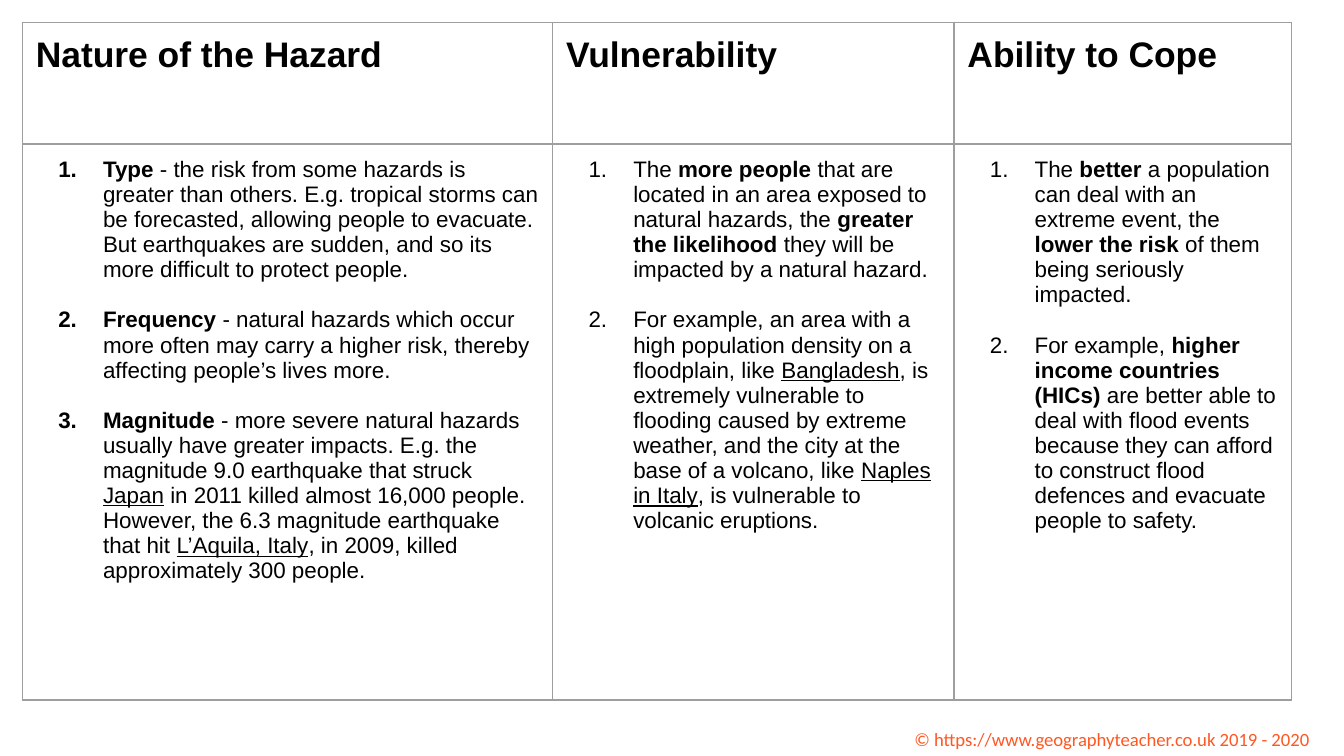
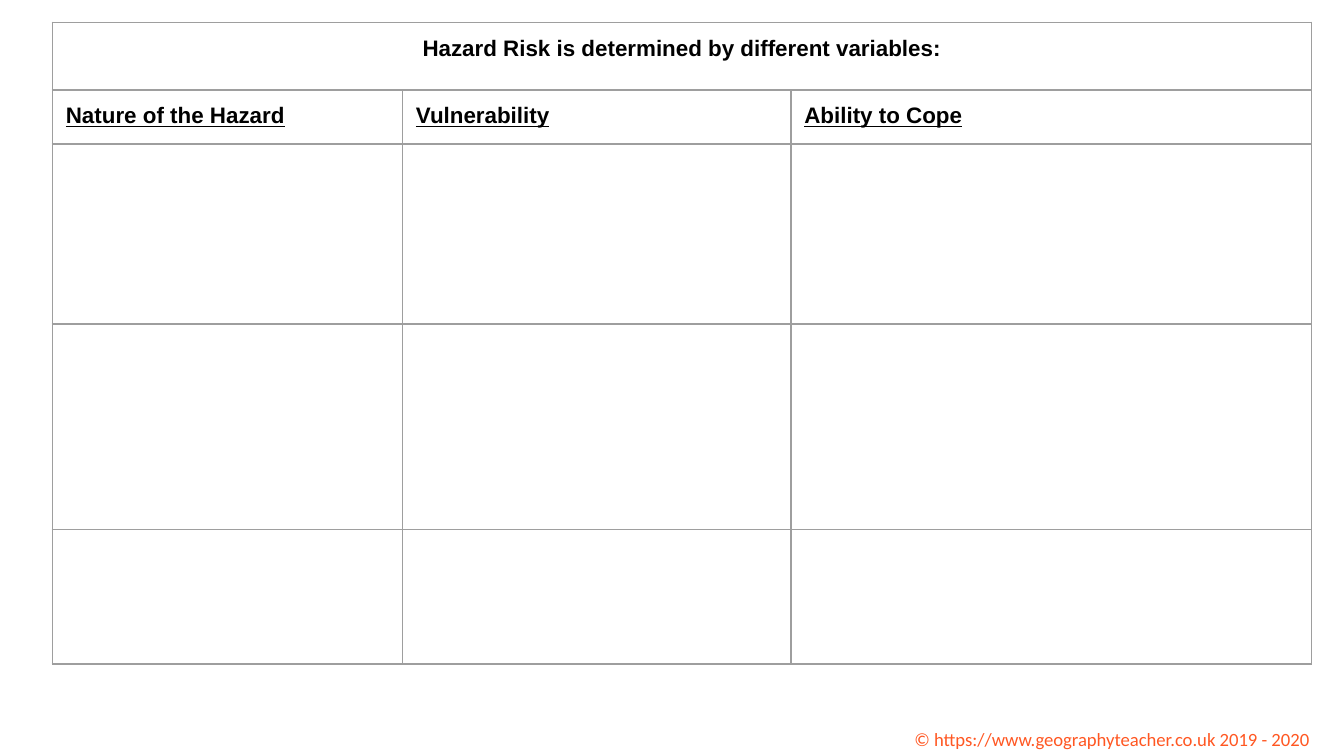
import pptx
import pptx.dml.color
import pptx.enum.text
import pptx.oxml
import pptx.oxml.ns
import pptx.util

COLORS = {"ink": "000000", "border": "9E9E9E", "credit": "FF5722"}
WIDTH = 10
HEIGHT = WIDTH * 9 / 16
COLUMNS = 100
UNIT = pptx.util.Inches(WIDTH) / COLUMNS
MARGIN = 1
TABLE_TOP = 1.67
HEADINGS = ["Nature of the Hazard", "Vulnerability", "Ability to Cope"]
CREDIT = "© https://www.geographyteacher.co.uk 2019 - 2020"

FACTORS = [
    [
        "*Type* - the risk from some hazards is greater than others. E.g. tropical storms can be "
        "forecasted, allowing people to evacuate. But earthquakes are sudden, and so its more "
        "difficult to protect people.",
        "*Frequency* - natural hazards which occur more often may carry a higher risk, thereby "
        "affecting people’s lives more.",
        "*Magnitude* - more severe natural hazards usually have greater impacts. E.g. the "
        "magnitude 9.0 earthquake that struck _Japan_ in 2011 killed almost 16,000 people. "
        "However, the 6.3 magnitude earthquake that hit _L’Aquila, Italy_, in 2009, killed "
        "approximately 300 people.",
    ],
    [
        "The *more people *that are located in an area exposed to natural hazards, the "
        "*greater the likelihood* they will be impacted by a natural hazard.",
        "For example, an area with a high population density on a floodplain, like _Bangladesh_, "
        "is extremely vulnerable to flooding caused by extreme weather, and the city at the base "
        "of a volcano, like _Naples in Italy_, is vulnerable to volcanic eruptions.",
    ],
    [
        "The *better* a population can deal with an extreme event, the *lower the risk* of them "
        "being seriously impacted.",
        "For example, *higher income countries (HICs) *are better able to deal with flood events "
        "because they can afford to construct flood defences and evacuate people to safety.",
    ],
]


def grid(value):
    return pptx.util.Emu(round(value * UNIT))


def add_xml(parent, tag, content="", attributes=""):
    namespace = pptx.oxml.ns.nsdecls("a")
    parent.append(pptx.oxml.parse_xml(f"<a:{tag} {namespace} {attributes}>{content}</a:{tag}>"))


def solid_fill(color):
    return f'<a:solidFill><a:srgbClr val="{COLORS[color]}"/></a:solidFill>'


def write_text(para, text, size=12, color="ink", name="Arial", bold=False, underline=False):
    span = para.add_run()
    span.text = text
    font = span.font
    font.size, font.name = pptx.util.Pt(size), name
    font.bold, font.underline = bold, underline
    font.color.rgb = pptx.dml.color.RGBColor.from_string(COLORS[color])


class Builder:
    def __init__(self):
        self.deck = pptx.Presentation()
        self.deck.slide_width = pptx.util.Inches(WIDTH)
        self.deck.slide_height = pptx.util.Inches(HEIGHT)
        self.page = None

    def new_page(self):
        self.page = self.deck.slides.add_slide(self.deck.slide_layouts[6])
        self.credit()

    def credit(self):
        box = self.page.shapes.add_textbox(grid(67.05), grid(53.3), grid(35.2), grid(2.5))
        frame = box.text_frame
        frame.word_wrap = True
        self.set_margins(frame)
        write_text(frame.paragraphs[0], CREDIT, size=10, color="credit", name="Calibri")

    def set_margins(self, holder):
        holder.margin_left = holder.margin_right = grid(MARGIN)
        holder.margin_top = holder.margin_bottom = grid(MARGIN)

    def table(self, left, widths, heights):
        frame = self.page.shapes.add_table(
            len(heights), len(widths),
            grid(left), grid(TABLE_TOP), grid(sum(widths)), grid(sum(heights)),
        )
        table = frame.table
        table.first_row = table.horz_banding = False
        for column, width in zip(table.columns, widths):
            column.width = grid(width)
        for row, height in zip(table.rows, heights):
            row.height = grid(height)
        for cell in table.iter_cells():
            self.format_cell(cell)
        return table

    def format_cell(self, cell):
        self.set_margins(cell)
        properties = cell._tc.get_or_add_tcPr()
        for side in "LRTB":
            add_xml(properties, f"ln{side}", solid_fill("border"), f'w="{pptx.util.Pt(1)}"')
        cell.fill.background()

    def heading_row(self, table, row, **style):
        for column, heading in enumerate(HEADINGS):
            para = table.cell(row, column).text_frame.paragraphs[0]
            write_text(para, heading, bold=True, **style)

    def numbered_list(self, cell, items):
        frame = cell.text_frame
        for index, item in enumerate(items):
            para = frame.add_paragraph() if index else frame.paragraphs[0]
            properties = para._p.get_or_add_pPr()
            properties.set("marL", str(grid(5)))
            properties.set("indent", str(-grid(3.33)))
            if index:
                para.space_before = pptx.util.Pt(13.4)
            add_xml(properties, "buClr", f'<a:srgbClr val="{COLORS["ink"]}"/>')
            add_xml(properties, "buAutoNum", attributes='type="arabicPeriod"')
            for part, phrase in enumerate(item.split("*")):
                for piece, text in enumerate(phrase.split("_")):
                    if text:
                        write_text(para, text, bold=part % 2 == 1, underline=piece % 2 == 1)


def build_factors(builder):
    builder.new_page()
    table = builder.table(1.67, [39.45, 29.87, 25.1], [9.03, 41.4])
    builder.heading_row(table, 0, size=19)
    for column, items in enumerate(FACTORS):
        builder.numbered_list(table.cell(1, column), items)


def build_worksheet(builder):
    builder.new_page()
    table = builder.table(3.9, [26.05, 28.9, 38.75], [5.03, 3.85, 13.4, 15.3, 10])
    banner = table.cell(0, 0)
    banner.merge(table.cell(0, 2))
    para = banner.text_frame.paragraphs[0]
    para.alignment = pptx.enum.text.PP_ALIGN.CENTER
    write_text(para, "Hazard Risk is determined by different variables:", bold=True)
    builder.heading_row(table, 1, underline=True)


def main():
    builder = Builder()
    build_factors(builder)
    build_worksheet(builder)
    builder.deck.save("out.pptx")


if __name__ == "__main__":
    main()
